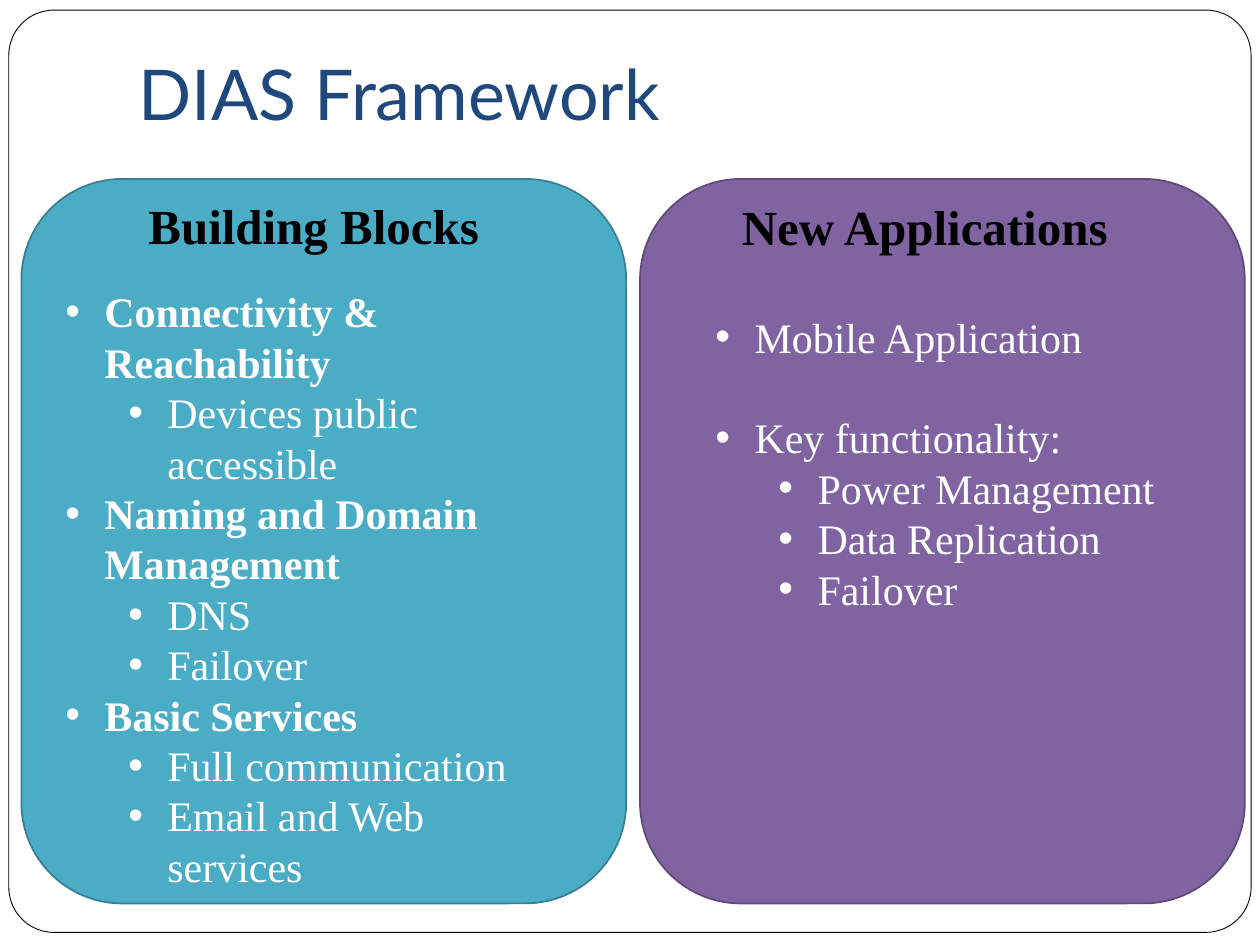
from lxml import etree
from pptx import Presentation
from pptx.dml.color import RGBColor
from pptx.enum.shapes import MSO_SHAPE
from pptx.enum.text import MSO_ANCHOR, MSO_AUTO_SIZE, PP_ALIGN
from pptx.oxml.ns import qn
from pptx.util import Inches, Pt

ROUNDED = MSO_SHAPE.ROUNDED_RECTANGLE
LEFT = PP_ALIGN.LEFT
BOTTOM = MSO_ANCHOR.BOTTOM
FIT_SHAPE, FIT_NONE = MSO_AUTO_SIZE.SHAPE_TO_FIT_TEXT, MSO_AUTO_SIZE.NONE

WHITE = RGBColor(0xFF, 0xFF, 0xFF)
BLACK = RGBColor(0x00, 0x00, 0x00)
NAVY = RGBColor(0x1F, 0x49, 0x7D)
TEAL = RGBColor(0x4B, 0xAC, 0xC6)
DARK_TEAL = RGBColor(0x37, 0x7F, 0x92)
PURPLE = RGBColor(0x80, 0x64, 0xA2)
DARK_PURPLE = RGBColor(0x5F, 0x4A, 0x78)

TITLE_FONT = "Lato"
BODY_FONT = "Times New Roman"
LINE_HEIGHT = 1.2  # times the font size
BULLET_SIZE = 24
BULLET_HANG = 0.31
LEVEL_STEP = 0.5

# Each item: level, text, bold, lines of space before
BUILDING_BLOCKS = [
    (0, "Connectivity & Reachability", True, 0),
    (1, "Devices public accessible", False, 0),
    (0, "Naming and Domain Management", True, 0),
    (1, "DNS", False, 0),
    (1, "Failover", False, 0),
    (0, "Basic Services", True, 0),
    (1, "Full communication", False, 0),
    (1, "Email and Web services", False, 0),
]
NEW_APPLICATIONS = [
    (0, "Mobile Application", False, 0),
    (0, "Key functionality:", False, 1),
    (1, "Power Management", False, 0),
    (1, "Data Replication", False, 0),
    (1, "Failover", False, 0),
]


def write(paragraph, text, size, color, font=BODY_FONT, bold=False):
    paragraph.alignment = LEFT
    paragraph.line_spacing = Pt(size * LINE_HEIGHT)
    run = paragraph.add_run()
    run.text = text
    run.font.name = font
    run.font.size = Pt(size)
    run.font.bold = bold
    run.font.color.rgb = color


def place(shape, box):
    shape.left, shape.top, shape.width, shape.height = map(Inches, box)


def add_panel(slide, box, fill, line, line_width, corner=0.1667):
    panel = slide.shapes.add_shape(ROUNDED, *map(Inches, box))
    panel.adjustments[0] = corner
    panel.shadow.inherit = False
    panel.fill.solid()
    panel.fill.fore_color.rgb = fill
    panel.line.color.rgb = line
    panel.line.width = Pt(line_width)
    return panel


def add_title(slide, text):
    title = slide.shapes.title
    place(title, (1, -0.08, 8.5, 1.25))
    frame = title.text_frame
    frame.auto_size = FIT_NONE
    frame.vertical_anchor = BOTTOM
    frame.margin_bottom = Inches(0.1)
    write(frame.paragraphs[0], text, 40, NAVY, font=TITLE_FONT)


def add_text_frame(slide, box, wrap):
    frame = slide.shapes.add_textbox(*map(Inches, box)).text_frame
    frame.word_wrap = wrap
    frame.auto_size = FIT_SHAPE
    return frame


def add_heading(slide, box, text):
    frame = add_text_frame(slide, box, wrap=False)
    write(frame.paragraphs[0], text, 28, BLACK, bold=True)


def set_bullet(paragraph, level):
    """Give the paragraph a hanging round bullet, indented by its level."""
    paragraph.level = level
    properties = paragraph._p.get_or_add_pPr()
    properties.set("marL", str(Inches(BULLET_HANG + LEVEL_STEP * level)))
    properties.set("indent", str(-Inches(BULLET_HANG)))
    etree.SubElement(properties, qn("a:buFont")).set("typeface", "Arial")
    etree.SubElement(properties, qn("a:buChar")).set("char", "•")


def add_bullets(slide, box, items):
    frame = add_text_frame(slide, box, wrap=True)
    for index, (level, text, bold, gap_lines) in enumerate(items):
        paragraph = frame.add_paragraph() if index else frame.paragraphs[0]
        write(paragraph, text, BULLET_SIZE, WHITE, bold=bold)
        if gap_lines:
            paragraph.space_before = Pt(gap_lines * BULLET_SIZE * LINE_HEIGHT)
        set_bullet(paragraph, level)


def main():
    prs = Presentation()
    prs.slide_width, prs.slide_height = Inches(10), Inches(7.5)
    slide = prs.slides.add_slide(prs.slide_layouts[5])

    add_title(slide, "DIAS Framework")
    border = add_panel(slide, (0.07, 0.08, 9.86, 7.32), WHITE, BLACK, 0.5, corner=0.049)
    slide.shapes.title.element.addprevious(border.element)  # border goes behind

    add_panel(slide, (0.17, 1.42, 4.8, 5.75), TEAL, DARK_TEAL, 1)
    add_panel(slide, (5.08, 1.42, 4.8, 5.75), PURPLE, DARK_PURPLE, 1)
    add_bullets(slide, (0.42, 2.22, 4.17, 4.95), BUILDING_BLOCKS)
    add_heading(slide, (1.08, 1.5, 3.17, 0.57), "Building Blocks")
    add_heading(slide, (5.79, 1.51, 3.46, 0.57), "New Applications")
    add_bullets(slide, (5.58, 2.42, 3.75, 3.33), NEW_APPLICATIONS)

    prs.save("out.pptx")


if __name__ == "__main__":
    main()
